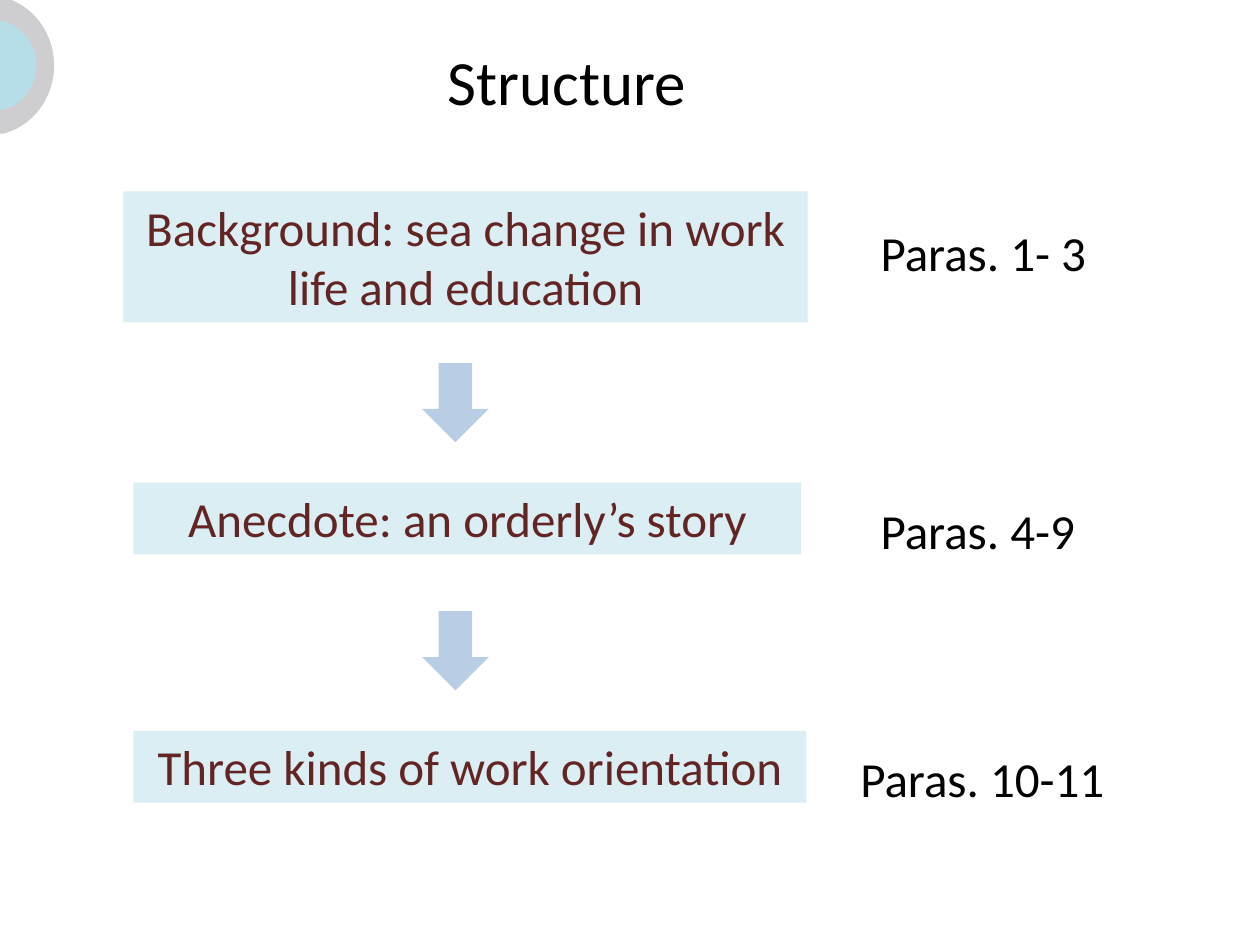
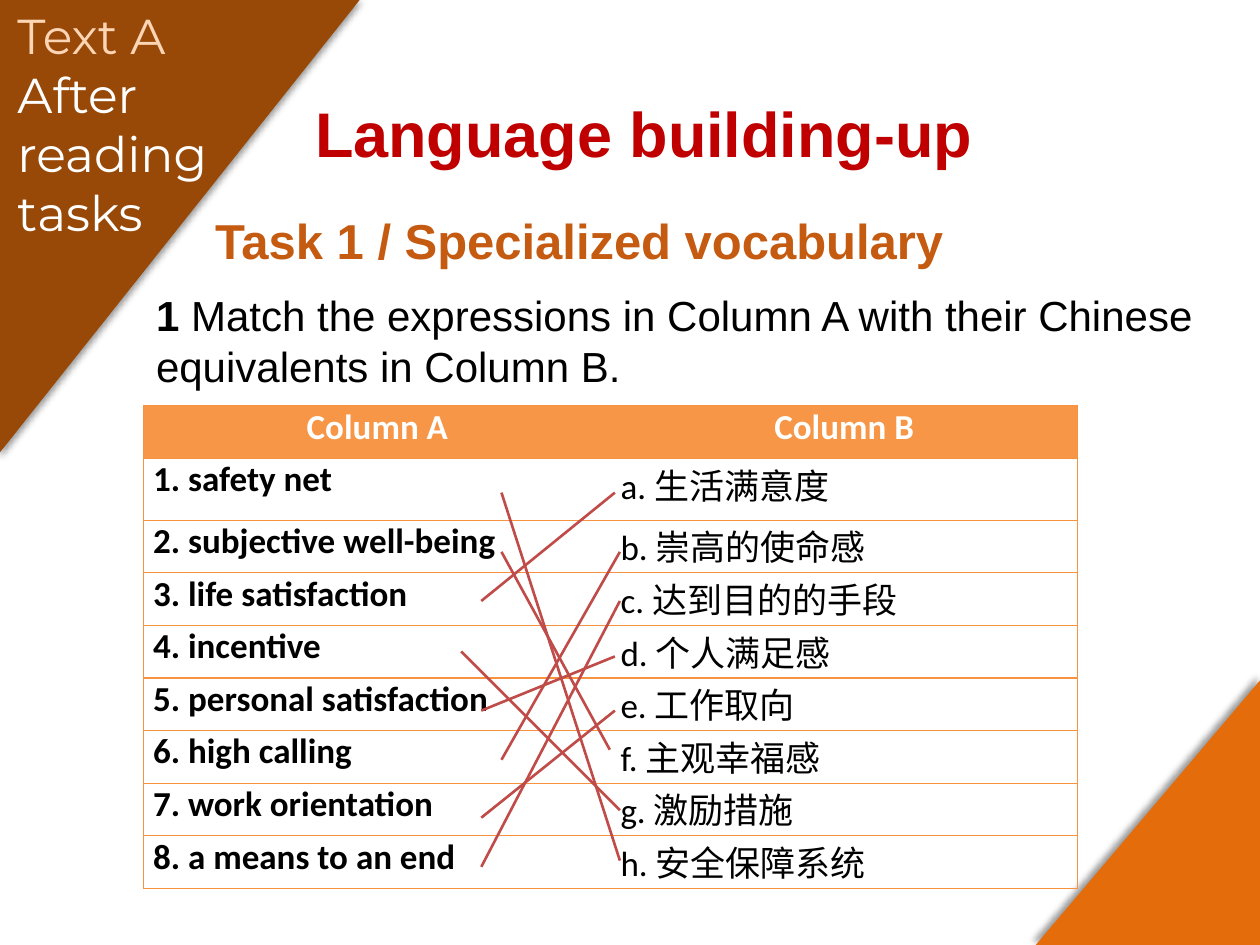
from lxml import etree
from pptx import Presentation
from pptx.dml.color import RGBColor
from pptx.enum.shapes import MSO_CONNECTOR, MSO_SHAPE
from pptx.enum.text import MSO_ANCHOR, PP_ALIGN
from pptx.oxml import parse_xml
from pptx.oxml.ns import qn
from pptx.util import Inches, Pt

RECT, ARROW = MSO_SHAPE.RECTANGLE, MSO_SHAPE.DOWN_ARROW
CORNER = MSO_SHAPE.RIGHT_TRIANGLE
LEFT, MID, JUST = PP_ALIGN.LEFT, PP_ALIGN.CENTER, PP_ALIGN.JUSTIFY
TOP, CENTER = MSO_ANCHOR.TOP, MSO_ANCHOR.MIDDLE
LINE = MSO_CONNECTOR.STRAIGHT
NS = "http://schemas.openxmlformats.org/drawingml/2006/main"

COLORS = {
    "black": "000000", "white": "FFFFFF", "box": "DBEEF4", "wine": "632523",
    "arrow": "B9CDE5", "ring": "CECED0", "disc": "B7DEE8",
    "brown": "984807", "orange": "E46C0A", "peach": "FCD5B5",
    "red": "C00000", "rust": "C55A11", "head": "F79646",
    "grid": "F69240", "match": "BF4C48",
}

# text, box (left, top, width, height), paragraphs, label (left, top, width)
STEPS = [
    ("Background: sea change in work life and education",
     (0.98, 1.52, 5.43, 1.04), "Paras. 1- 3", (6.89, 1.62, 1.85)),
    ("Anecdote: an orderly’s story",
     (1.06, 3.83, 5.3, 0.57), "Paras. 4-9 ", (6.89, 3.83, 1.85)),
    ("Three kinds of work orientation",
     (1.06, 5.8, 5.34, 0.57), "Paras. 10-11", (6.73, 5.8, 2.16)),
]
ARROW_TOPS = [2.88, 4.85]

# colour, right edge, shoulder x, top, bottom, control points of the upper arc
DISCS = [
    ("ring", 0.43, 0.03, -0.02, 1.06, (0.43, 0.26), (0.26, 0.04)),
    ("disc", 0.29, 0.02, 0.17, 0.87, (0.29, 0.35), (0.17, 0.2)),
]

# colour, box, turn, shadow direction
CORNERS = [
    ("brown", (-0.37, 0.35, 3.61, 2.87), 90, 90),
    ("orange", (8.06, 5.56, 2.1, 1.78), 270, 225),
]

HEADS = ["Column A", "Column B"]
# expression, line start, matching letter
TERMS = [
    ("1. safety net", (3.98, 3.91), "h"),
    ("2. subjective well-being", (3.98, 4.38), "f"),
    ("3. life satisfaction", (3.82, 4.77), "a"),
    ("4. incentive", (3.66, 5.17), "g"),
    ("5. personal satisfaction", (3.82, 5.64), "d"),
    ("6. high calling", (3.98, 6.03), "b"),
    ("7. work orientation", (3.82, 6.49), "e"),
    ("8. a means to an end", (3.82, 6.88), "c"),
]
# letter: equivalent, line end
MEANINGS = {
    "a": ("生活满意度", (4.88, 3.91)),
    "b": ("崇高的使命感", (4.92, 4.38)),
    "c": ("达到目的的手段", (4.92, 4.77)),
    "d": ("个人满足感", (4.88, 5.21)),
    "e": ("工作取向", (4.88, 5.64)),
    "f": ("主观幸福感", (4.84, 5.95)),
    "g": ("激励措施", (4.92, 6.43)),
    "h": ("安全保障系统", (4.92, 6.83)),
}


def rgb(name):
    return RGBColor.from_string(COLORS[name])


def write(frame, text, size=28, font="Calibri", color="black", bold=False,
          align=LEFT, anchor=TOP, wrap=True, before=0, spacing=None, hang=0):
    """Fill a frame; text is a string or a list of (string, overrides)."""
    frame.word_wrap = wrap
    frame.vertical_anchor = anchor
    par = frame.paragraphs[0]
    par.alignment = align
    par.space_before = Pt(before)
    if spacing:
        par.line_spacing = spacing
    if hang:
        props = par._p.get_or_add_pPr()
        props.set("marL", str(Inches(hang)))
        props.set("indent", str(-Inches(hang)))
    for part, own in [(text, {})] if isinstance(text, str) else text:
        run = par.add_run()
        run.text = part
        run.font.size = Pt(size)
        run.font.name = font
        run.font.bold = own.get("bold", bold)
        run.font.color.rgb = rgb(own.get("color", color))


def place(shape, box):
    shape.left, shape.top, shape.width, shape.height = map(Inches, box)


def set_title(slide, text, box, **form):
    place(slide.shapes.title, box)
    write(slide.shapes.title.text_frame, text, size=36, **form)


def add_text(slide, text, box, **form):
    area = slide.shapes.add_textbox(*map(Inches, box))
    write(area.text_frame, text, **form)


def paint(shape, color):
    shape.shadow.inherit = False
    shape.fill.solid()
    shape.fill.fore_color.rgb = rgb(color)
    shape.line.fill.background()


def add_solid(slide, kind, box, color):
    shape = slide.shapes.add_shape(kind, *map(Inches, box))
    paint(shape, color)
    return shape


def add_disc(slide, color, right, x, top, bottom, c1, c2):
    """Draw the half disc that comes in from the left edge."""
    mid = (top + bottom) / 2
    nodes = [(right, mid), c1, c2, (x, top)]
    arc = []
    for step in range(25):
        t = step / 24
        weights = [(1 - t) ** 3, 3 * t * (1 - t) ** 2,
                   3 * t * t * (1 - t), t ** 3]
        arc.append([sum(w * n[i] for w, n in zip(weights, nodes))
                    for i in (0, 1)])
    low = [(px, 2 * mid - py) for px, py in reversed(arc)]
    outline = [(Inches(px), Inches(py))
               for px, py in arc + [(0, top), (0, bottom)] + low]
    pen = slide.shapes.build_freeform(*outline[0])
    pen.add_line_segments(outline[1:], close=True)
    paint(pen.convert_to_shape(), color)


def cast_shadow(shape, angle):
    effects = shape._element.spPr.find(qn("a:effectLst"))
    effects.append(parse_xml(
        f'<a:outerShdw xmlns:a="{NS}" blurRad="{Pt(4)}" dist="{Pt(3)}" '
        f'dir="{angle * 60000}" algn="ctr" rotWithShape="0">'
        f'<a:srgbClr val="{COLORS["black"]}"><a:alpha val="40000"/>'
        '</a:srgbClr></a:outerShdw>'))


def set_edges(cell, col):
    """Rule the cell on its outer side, top and bottom."""
    props = cell._tc.get_or_add_tcPr()
    for side in "LRTB":
        edge = etree.SubElement(props, qn("a:ln" + side), w=str(Pt(0.75)))
        if side == "RL"[col]:
            etree.SubElement(edge, qn("a:noFill"))
        else:
            fill = etree.SubElement(edge, qn("a:solidFill"))
            etree.SubElement(fill, qn("a:srgbClr"), val=COLORS["grid"])


def add_match_table(slide):
    rows = [HEADS] + [
        (term[0], f"{key}. {MEANINGS[key][0]}")
        for term, key in zip(TERMS, MEANINGS)]
    table = slide.shapes.add_table(
        len(rows), 2, *map(Inches, (1.14, 3.22, 7.4, 3.84))).table
    for column, width in zip(table.columns, (3.71, 3.7)):
        column.width = Inches(width)
    for r, row in enumerate(rows):
        table.rows[r].height = Inches(0.49) if r == 1 else Pt(30.1)
        for c, text in enumerate(row):
            cell = table.cell(r, c)
            cell.margin_left = cell.margin_right = Pt(5.4)
            cell.margin_top = cell.margin_bottom = 0
            set_edges(cell, c)
            if r == 0:
                cell.fill.solid()
                cell.fill.fore_color.rgb = rgb("head")
            else:
                cell.fill.background()
            write(cell.text_frame, text, size=20, bold=r == 0 or c == 0,
                  color="black" if r else "white",
                  align=LEFT if r else MID)


def add_line(slide, start, end):
    line = slide.shapes.add_connector(LINE, *map(Inches, start + end))
    line.line.color.rgb = rgb("match")
    line.line.width = Pt(1.5)
    etree.SubElement(line._element.spPr, qn("a:effectLst"))


def build_structure(slide):
    set_title(slide, "Structure", (0, 0.29, 9, 1.05), align=MID)
    for text, box, label, (left, top, width) in STEPS:
        shape = add_solid(slide, RECT, box, "box")
        write(shape.text_frame, text, color="wine", align=MID)
        add_text(slide, label, (left, top, width, 0.67), align=JUST,
                 wrap=False, before=5.6, spacing=1.2, hang=0.3)
    for disc in DISCS:
        add_disc(slide, *disc)
    for top in ARROW_TOPS:
        add_solid(slide, ARROW, (3.35, top, 0.53, 0.63), "arrow")


def build_language(slide):
    for color, box, turn, angle in CORNERS:
        shape = add_solid(slide, CORNER, box, color)
        shape.rotation = turn
        cast_shadow(shape, angle)
    set_title(slide, "Language building-up", (2.4, 0.7, 5.48, 0.71),
              font="Arial", color="red", bold=True, wrap=False)
    add_text(slide, "Task 1 / Specialized vocabulary",
             (1.61, 1.62, 6.14, 0.57), font="Arial", color="rust",
             bold=True, before=5.6)
    add_text(slide, [("1 ", {"bold": True}),
                     ("Match the expressions in Column A with their Chinese "
                      "equivalents in Column B.", {})],
             (1.14, 2.25, 8.45, 0.91), size=24, font="Arial")
    add_match_table(slide)
    for _, start, key in TERMS:
        add_line(slide, start, MEANINGS[key][1])
    add_text(slide, [("Text A ", {"color": "peach"}),
                     ("After reading tasks", {})],
             (0.04, 0.18, 2.22, 1.6), font="Montserrat", color="white",
             anchor=CENTER)


def main():
    deck = Presentation()
    deck.slide_width, deck.slide_height = Inches(10), Inches(7.5)
    for build in (build_structure, build_language):
        build(deck.slides.add_slide(deck.slide_layouts[5]))
    deck.save("out.pptx")


if __name__ == "__main__":
    main()
